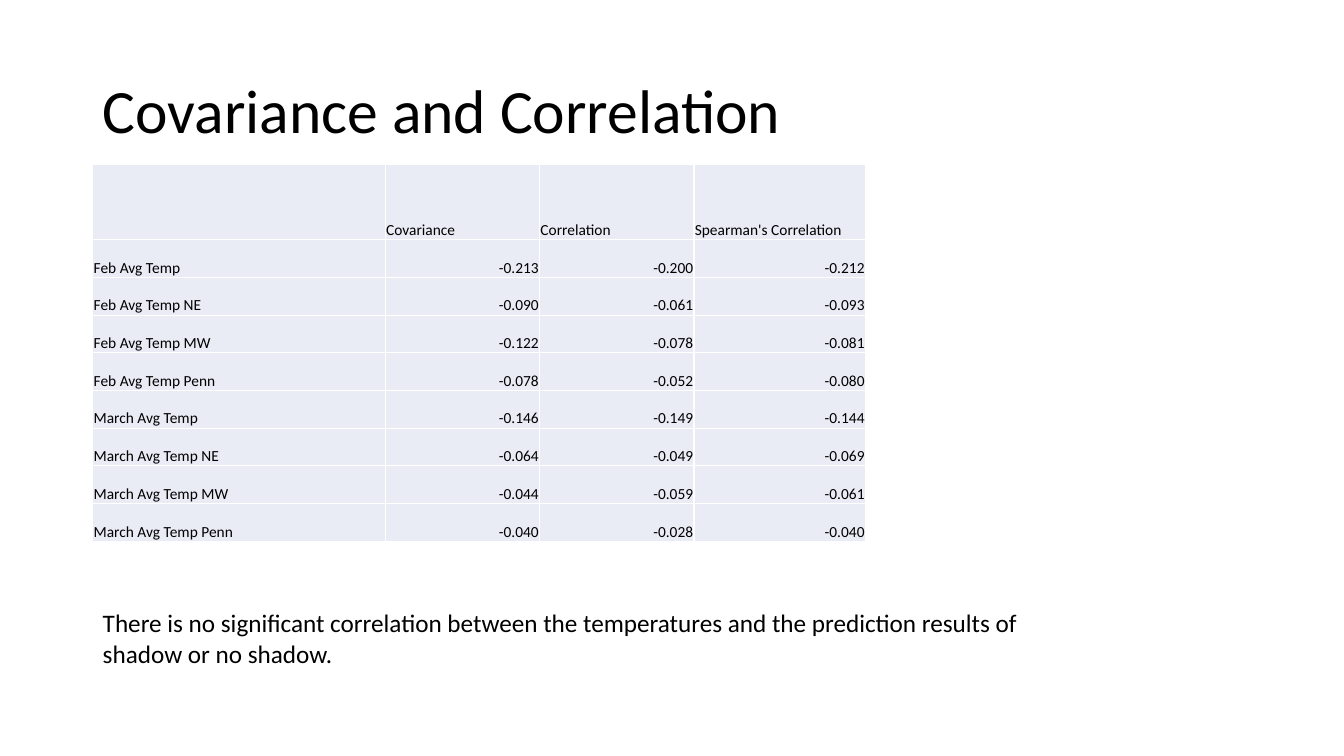
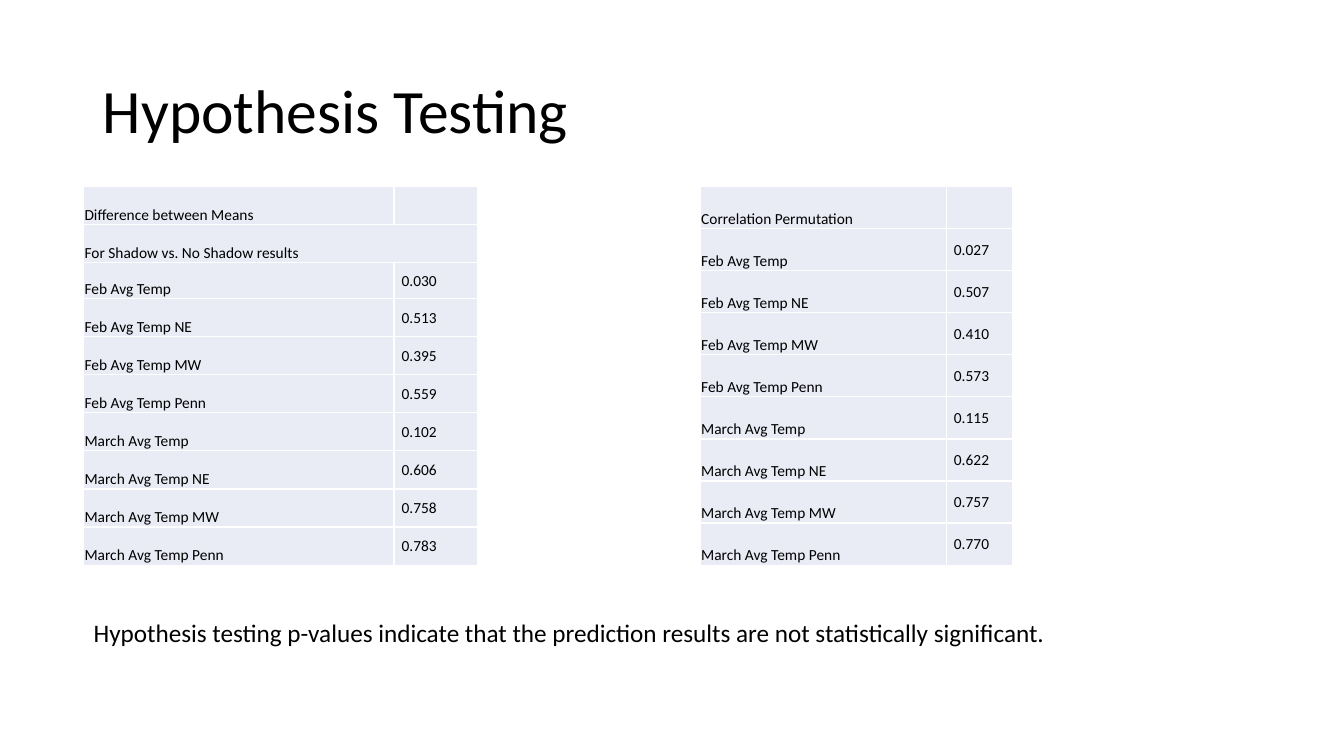
import pptx
import pptx.dml.color
import pptx.enum.text
import pptx.oxml
import pptx.oxml.ns
import pptx.util

Cm = pptx.util.Cm
Pt = pptx.util.Pt
ANCHOR = pptx.enum.text.MSO_ANCHOR
ALIGN = pptx.enum.text.PP_ALIGN

# Shared look
FONT = "Calibri"
BLACK = pptx.dml.color.RGBColor(0x00, 0x00, 0x00)
WHITE = pptx.dml.color.RGBColor(0xFF, 0xFF, 0xFF)
CELL_FILL = pptx.dml.color.RGBColor(0xE9, 0xEB, 0xF5)
TITLE_SIZE, NOTE_SIZE, CELL_SIZE = 44, 18, 11
CELL_INSET = 0.02
P_VALUE_INDENT = 0.19

# Content
REGIONS = [f"{month} Avg Temp{region}"
           for month in ("Feb", "March")
           for region in ("", " NE", " MW", " Penn")]
CORRELATIONS = [
    ("-0.213", "-0.200", "-0.212"),
    ("-0.090", "-0.061", "-0.093"),
    ("-0.122", "-0.078", "-0.081"),
    ("-0.078", "-0.052", "-0.080"),
    ("-0.146", "-0.149", "-0.144"),
    ("-0.064", "-0.049", "-0.069"),
    ("-0.044", "-0.059", "-0.061"),
    ("-0.040", "-0.028", "-0.040"),
]
MEANS_P = ["0.030", "0.513", "0.395", "0.559", "0.102", "0.606", "0.758", "0.783"]
PERMUTATION_P = ["0.027", "0.507", "0.410", "0.573", "0.115", "0.622", "0.757", "0.770"]


def add_run(p, text, size):
    r = p.add_run()
    r.text = text
    r.font.name = FONT
    r.font.size = Pt(size)
    r.font.color.rgb = BLACK


def add_text(s, text, size, left, top, width, height, anchor=ANCHOR.TOP):
    sp = s.shapes.add_textbox(Cm(left), Cm(top), Cm(width), Cm(height))
    tf = sp.text_frame
    tf.word_wrap = True
    tf.vertical_anchor = anchor
    p = tf.paragraphs[0]
    add_run(p, text, size)
    return p


def add_titled_slide(prs, title):
    s = prs.slides.add_slide(prs.slide_layouts[6])
    p = add_text(s, title, TITLE_SIZE, 2.34, 1.02, 29.21, 3.68, ANCHOR.MIDDLE)
    p.line_spacing = 0.9
    return s


def add_borders(cell):
    tcPr = cell._tc.get_or_add_tcPr()
    for i, side in enumerate(("lnL", "lnR", "lnT", "lnB")):
        # Border lines come before the fill in the cell properties
        tcPr.insert(i, pptx.oxml.parse_xml(
            f'<a:{side} {pptx.oxml.ns.nsdecls("a")} w="12700"><a:solidFill>'
            f'<a:srgbClr val="{WHITE}"/></a:solidFill></a:{side}>'))


def style_cell(cell):
    cell.margin_left = cell.margin_right = cell.margin_top = Cm(CELL_INSET)
    cell.margin_bottom = 0
    cell.vertical_anchor = ANCHOR.BOTTOM
    cell.fill.solid()
    cell.fill.fore_color.rgb = CELL_FILL
    add_borders(cell)


def align_right(cell):
    cell.text_frame.paragraphs[0].alignment = ALIGN.RIGHT


def indent_middle(cell):
    cell.vertical_anchor = ANCHOR.MIDDLE
    cell.margin_left = Cm(P_VALUE_INDENT)


def add_grid(s, left, top, widths, heights, rows, style_value):
    """Draw a table; a row with a single text spans all columns."""
    table = s.shapes.add_table(len(rows), len(widths), Cm(left), Cm(top),
                               Cm(sum(widths)), Cm(sum(heights))).table
    table.first_row = table.horz_banding = False
    for column, width in zip(table.columns, widths):
        column.width = Cm(width)
    for row, height in zip(table.rows, heights):
        row.height = Cm(height)
    for cell in table.iter_cells():
        style_cell(cell)
    for i, texts in enumerate(rows):
        if len(texts) == 1:
            table.cell(i, 0).merge(table.cell(i, len(widths) - 1))
        for j, text in enumerate(texts):
            if not text:
                continue
            cell = table.cell(i, j)
            add_run(cell.text_frame.paragraphs[0], text, CELL_SIZE)
            if j and texts[0]:
                style_value(cell)


def build_correlation(prs):
    s = add_titled_slide(prs, "Covariance and Correlation")
    rows = [("", "Covariance", "Correlation", "Spearman's Correlation")]
    rows += [(region, *values) for region, values in zip(REGIONS, CORRELATIONS)]
    add_grid(s, 2.34, 4.15, [7.37, 3.89, 3.89, 4.32], [1.89] + [0.95] * 8,
             rows, align_right)
    add_text(s, "There is no significant correlation between the temperatures "
             "and the prediction results of shadow or no shadow.",
             NOTE_SIZE, 2.34, 15.19, 25.25, 1.8)


def build_hypothesis(prs):
    s = add_titled_slide(prs, "Hypothesis Testing")
    means = [("Difference between Means", ""), ("For Shadow vs. No Shadow results",)]
    means += zip(REGIONS, MEANS_P)
    add_grid(s, 2.11, 4.7, [7.82, 2.11], [0.96] * 2 + [0.9] + [0.96] * 7,
             means, indent_middle)
    permutation = [("Correlation Permutation", "")]
    permutation += zip(REGIONS, PERMUTATION_P)
    add_grid(s, 17.65, 4.7, [6.2, 1.68], [1.06] * 9, permutation, indent_middle)
    add_text(s, "Hypothesis testing p-values indicate that the prediction results "
             "are not statistically significant.",
             NOTE_SIZE, 2.11, 15.42, 26.37, 1.02)


def main():
    prs = pptx.Presentation()
    prs.slide_width, prs.slide_height = Cm(33.87), Cm(19.05)
    build_correlation(prs)
    build_hypothesis(prs)
    prs.save("out.pptx")


if __name__ == "__main__":
    main()
